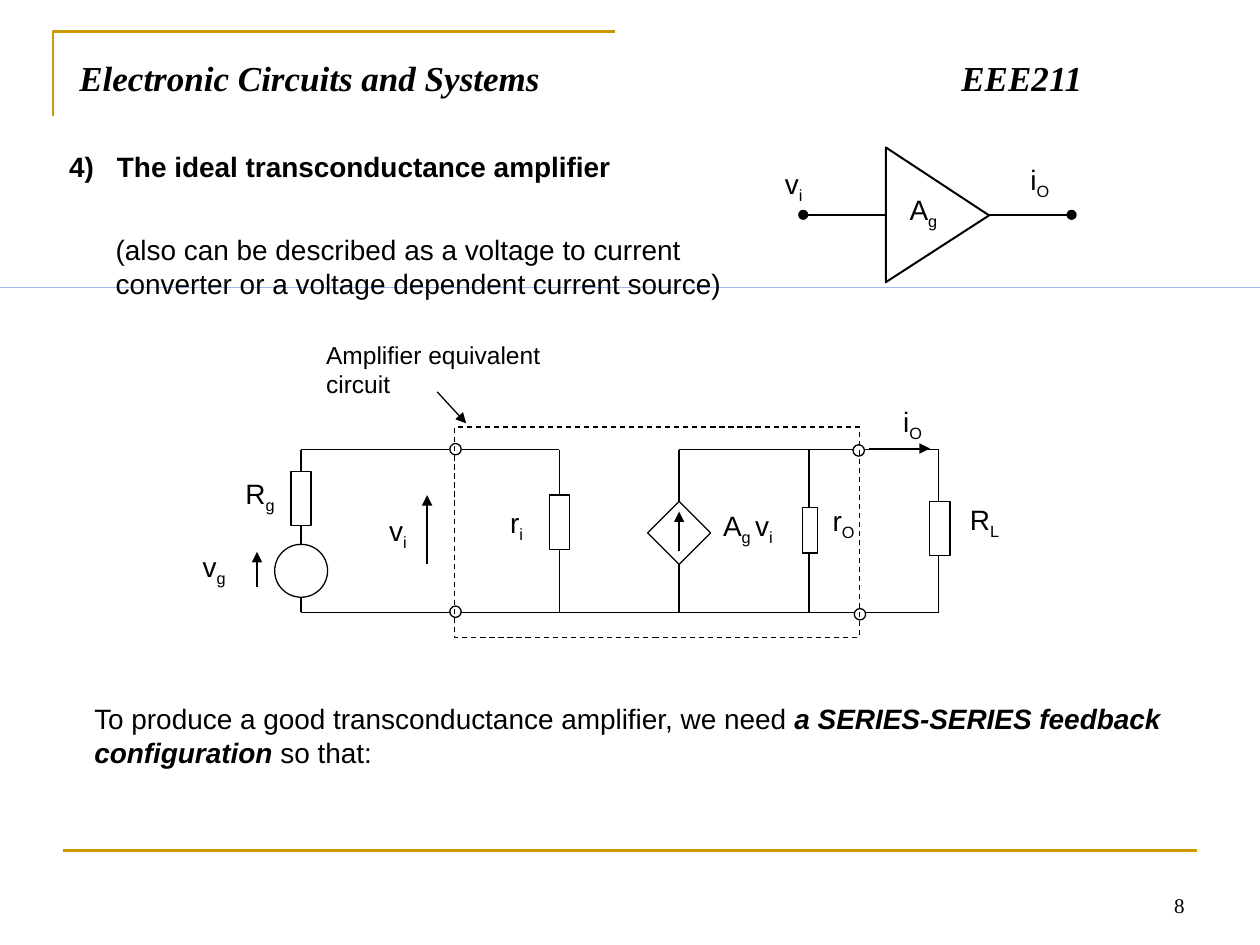
from pptx import Presentation, util as u
from pptx.dml.color import RGBColor
from pptx.enum import dml, shapes, text
from pptx.oxml import ns
from lxml import etree

I = u.Inches
rgb = RGBColor.from_string
SH = shapes.MSO_SHAPE

prs = Presentation()
prs.slide_width, prs.slide_height = I(10), I(7.5)
s = prs.slides.add_slide(prs.slide_layouts[5])


def style(sp, line="000000", width=0.75, fill=None, arrow=False):
    """Set line, fill and arrowhead, and drop the shadow."""
    if line:
        sp.line.color.rgb = rgb(line)
        sp.line.width = u.Pt(width)
    else:
        sp.line.fill.background()
    spPr = sp._element.spPr
    if arrow:
        etree.SubElement(spPr.find(ns.qn("a:ln")), ns.qn("a:tailEnd"), type="triangle")
    if hasattr(sp, "fill"):
        if fill:
            sp.fill.solid()
            sp.fill.fore_color.rgb = rgb(fill)
        else:
            sp.fill.background()
        sp.shadow.inherit = False
    else:
        etree.SubElement(spPr, ns.qn("a:effectLst"))


def write(sp, runs, anchor=text.MSO_ANCHOR.TOP, **fmt):
    """Fill a box with (text, format) runs and return its paragraph."""
    tf = sp.text_frame
    tf.word_wrap = True
    tf.auto_size = text.MSO_AUTO_SIZE.NONE
    tf.vertical_anchor = anchor
    p = tf.paragraphs[0]
    for words, extra in runs:
        r = p.add_run()
        r.text = words
        r.font.color.rgb = rgb("000000")
        values = {"name": "Arial", "size": u.Pt(16), **fmt, **extra}
        if values.pop("sub", False):
            r.font._element.set("baseline", "-25000")
        for key, value in values.items():
            setattr(r.font, key, value)
    return p


# Frame lines
fb = s.shapes.build_freeform(I(0.42), I(0.92))
fb.add_line_segments([(I(0.42), I(0.25)), (I(4.88), I(0.25))], close=False)
style(fb.convert_to_shape(), "CC9900", 1.5)
sp = s.shapes.add_connector(shapes.MSO_CONNECTOR.STRAIGHT, I(0.5), I(6.75), I(9.5), I(6.75))
style(sp, "CC9900", 1.5)
sp = s.shapes.add_shape(SH.RECTANGLE, I(0), I(2.28), I(10), I(0))
style(sp, None, fill="0033CC")

# Title, with the course code on a tab stop
title = s.shapes.title
title.left, title.top, title.width, title.height = I(0.53), I(0.4), I(8.92), I(0.61)
p = write(title, [("Electronic Circuits and Systems\tEEE211", {})],
          name="Times New Roman", size=u.Pt(20), bold=True, italic=True)
p.alignment = text.PP_ALIGN.LEFT
tabs = etree.SubElement(p._p.get_or_add_pPr(), ns.qn("a:tabLst"))
etree.SubElement(tabs, ns.qn("a:tab"), pos=str(I(7)), algn="l")

# Slide number
sp = s.shapes.add_textbox(I(7.17), I(6.83), I(2.33), I(0.5))
p = write(sp, [("8", {})], text.MSO_ANCHOR.BOTTOM, name="Times New Roman", size=u.Pt(12))
p.alignment = text.PP_ALIGN.RIGHT

# Heading with a hanging number
sp = s.shapes.add_textbox(I(0.45), I(1.14), I(4.81), I(0.37))
p = write(sp, [("4)\tThe ideal transconductance amplifier", {})], bold=True)
pPr = p._p.get_or_add_pPr()
pPr.set("marL", str(I(0.38)))
pPr.set("indent", str(-I(0.38)))

# Running text
strong = {"bold": True, "italic": True}
for x, y, w, h, runs, fmt in [
    (0.82, 1.8, 5.3, 0.64, [("(also can be described as a voltage to current converter "
                             "or a voltage dependent current source)", {})], {}),
    (2.49, 2.65, 2.3, 0.56, [("Amplifier equivalent circuit", {})],
     {"size": u.Pt(14), "anchor": text.MSO_ANCHOR.MIDDLE}),
    (0.65, 5.52, 9.14, 0.64, [("To produce a good transconductance amplifier, we need ", {}),
                              ("a SERIES-SERIES feedback configuration ", strong),
                              ("so that:", {})], {}),
]:
    write(s.shapes.add_textbox(I(x), I(y), I(w), I(h)), runs, **fmt)

# Amplifier symbol
fb = s.shapes.build_freeform(I(7.03), I(1.17))
fb.add_line_segments([(I(7.85), I(1.71)), (I(7.03), I(2.24))])
style(fb.convert_to_shape(), width=1.13)

# Wires and arrows: x1, y1, x2, y2, width, arrow
top, bottom = 3.57, 4.86
for x1, y1, x2, y2, width, arrow in [
    (6.38, 1.71, 7.03, 1.71, 1.13, False),
    (7.85, 1.71, 8.5, 1.71, 1.13, False),
    (2.39, top, 4.44, top, 0.75, False),
    (5.39, top, 7.45, top, 0.75, False),
    (2.39, bottom, 7.45, bottom, 0.75, False),
    *[(x, top, x, bottom, 0.75, False) for x in (2.39, 4.44, 5.39, 6.42, 7.45)],
    (3.47, 3.11, 3.7, 3.36, 0.75, True),
    (6.9, 3.56, 7.38, 3.56, 0.75, True),
    (3.39, 4.48, 3.39, 3.93, 0.75, True),
    (2.04, 4.66, 2.04, 4.38, 0.75, True),
]:
    sp = s.shapes.add_connector(shapes.MSO_CONNECTOR.STRAIGHT, I(x1), I(y1), I(x2), I(y2))
    style(sp, width=width, arrow=arrow)

# Components: kind, left, top, width, height, fill
for kind, x, y, w, h, fill in [
    (SH.OVAL, 6.34, 1.67, 0.07, 0.07, "000000"),
    (SH.OVAL, 8.47, 1.67, 0.07, 0.07, "000000"),
    (SH.RECTANGLE, 2.31, 3.74, 0.16, 0.43, "FFFFFF"),
    (SH.RECTANGLE, 4.36, 3.93, 0.16, 0.43, "FFFFFF"),
    (SH.RECTANGLE, 6.37, 4.03, 0.12, 0.36, "FFFFFF"),
    (SH.RECTANGLE, 7.38, 3.98, 0.16, 0.43, "FFFFFF"),
    (SH.OVAL, 2.18, 4.32, 0.42, 0.42, "FFFFFF"),
    (SH.DIAMOND, 5.14, 3.98, 0.5, 0.5, "FFFFFF"),
    (SH.OVAL, 3.57, 3.52, 0.09, 0.09, "FFFFFF"),
    (SH.OVAL, 3.57, 4.81, 0.09, 0.09, "FFFFFF"),
    (SH.OVAL, 6.77, 3.53, 0.09, 0.09, "FFFFFF"),
    (SH.OVAL, 6.78, 4.83, 0.09, 0.09, "FFFFFF"),
]:
    style(s.shapes.add_shape(kind, I(x), I(y), I(w), I(h)), fill=fill)

# Arrow inside the current source
sp = s.shapes.add_connector(shapes.MSO_CONNECTOR.STRAIGHT, I(5.39), I(4.37), I(5.39), I(4.06))
style(sp, arrow=True)

# Dashed border of the equivalent circuit
sp = s.shapes.add_shape(SH.RECTANGLE, I(3.61), I(3.39), I(3.21), I(1.67))
style(sp)
sp.line.dash_style = dml.MSO_LINE.DASH

# Symbols with subscripts: left, top, width, (letter, subscript) pairs
for x, y, w, *pairs in [
    (6.13, 1.27, 0.59, ("v", "i")),
    (8.08, 1.24, 0.59, ("i", "O")),
    (7.12, 1.48, 0.59, ("A", "g")),
    (7.07, 3.16, 0.4, ("i", "O")),
    (5.64, 3.99, 0.75, ("A", "g "), ("v", "i")),
    (2.99, 4.03, 0.36, ("v", "i")),
    (3.95, 3.96, 0.47, ("r", "i")),
    (6.51, 3.95, 0.47, ("r", "O")),
    (7.6, 3.94, 0.47, ("R", "L")),
    (1.85, 3.73, 0.47, ("R", "g")),
    (1.51, 4.31, 0.47, ("v", "g")),
]:
    runs = [(words, {"sub": i == 1}) for pair in pairs for i, words in enumerate(pair)]
    write(s.shapes.add_textbox(I(x), I(y), I(w), I(0.37)), runs)

prs.save("out.pptx")
